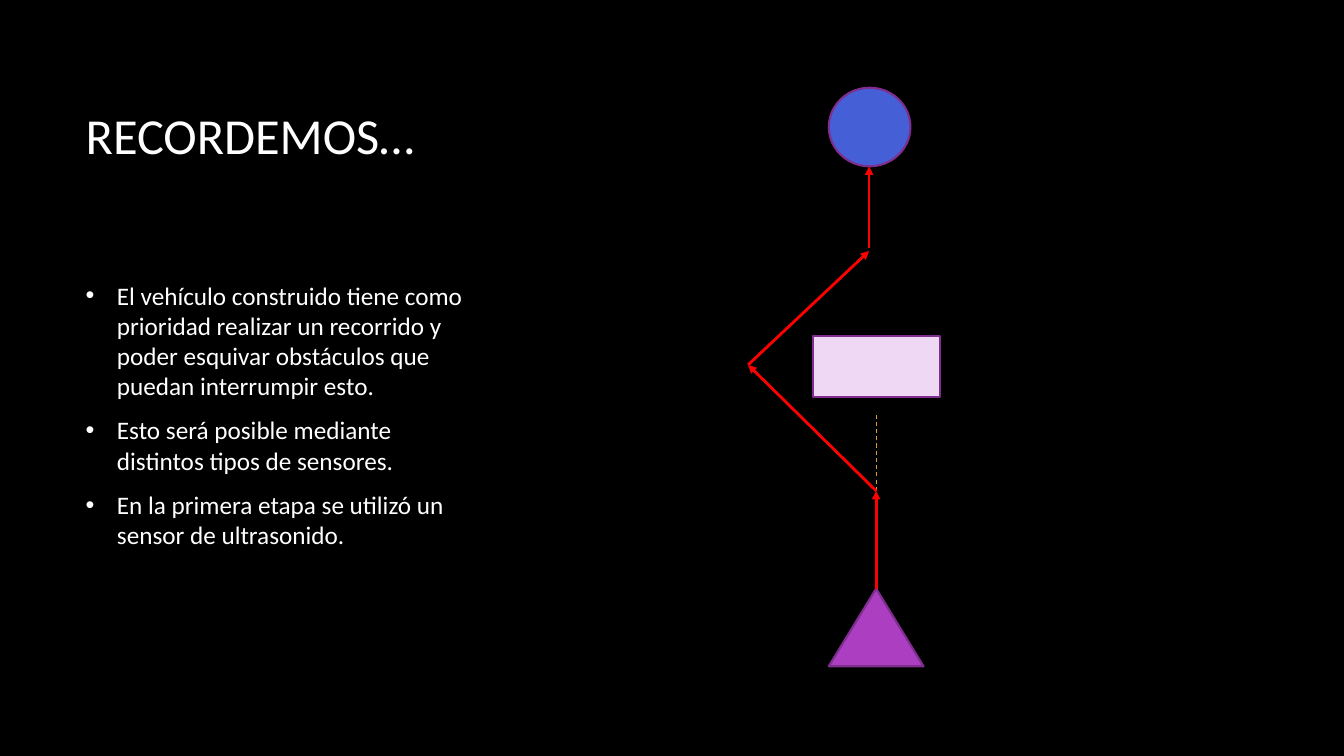
from dataclasses import dataclass

from lxml import etree
from pptx import Presentation
from pptx.dml.color import RGBColor
from pptx.enum.dml import MSO_LINE
from pptx.enum.shapes import MSO_CONNECTOR, MSO_SHAPE
from pptx.enum.text import MSO_ANCHOR, MSO_AUTO_SIZE, PP_ALIGN
from pptx.oxml.ns import qn
from pptx.util import Inches, Pt

OVAL, TRIANGLE, BOX = MSO_SHAPE.OVAL, MSO_SHAPE.ISOSCELES_TRIANGLE, MSO_SHAPE.RECTANGLE
DASH = MSO_LINE.DASH

TITLE = "RECORDEMOS…"
POINTS = [
    "El vehículo construido tiene como prioridad realizar un recorrido y poder "
    "esquivar obstáculos que puedan interrumpir esto.",
    "Esto será posible mediante distintos tipos de sensores.",
    "En la primera etapa se utilizó un sensor de ultrasonido.",
]


@dataclass(frozen=True)
class Theme:
    font: str = "Calibri"
    title_size: float = 36
    body_size: float = 18
    background: str = "000000"
    text: str = "FFFFFF"
    outline: str = "7F2E8F"
    goal: str = "455FD6"
    vehicle: str = "AC3EC1"
    obstacle: str = "EED8F3"
    route: str = "FF0000"
    blocked: str = "DD9D31"


THEME = Theme()

# preset, fill, (left, top, width, height)
FIGURES = [
    (OVAL, THEME.goal, (8.22, 0.87, 0.81, 0.78)),
    (TRIANGLE, THEME.vehicle, (8.22, 5.84, 0.94, 0.77)),
    (BOX, THEME.obstacle, (8.06, 3.33, 1.26, 0.61)),
]
START, TURN, SIDE = (8.69, 5.84), (8.69, 4.87), (7.42, 3.62)
BLOCKED_END = (8.69, 4.1)
REJOIN, LAST_LEG, GOAL = (8.62, 2.49), (8.62, 2.46), (8.62, 1.65)
ROUTE = [(START, TURN), (TURN, SIDE), (SIDE, REJOIN), (LAST_LEG, GOAL)]


def rgb(value):
    return RGBColor.from_string(value)


def place(shape, left, top, width, height):
    shape.left, shape.top = Inches(left), Inches(top)
    shape.width, shape.height = Inches(width), Inches(height)


def write(shape, paragraphs, *, size, color=THEME.text, after=0, bullet=False):
    tf = shape.text_frame
    tf.word_wrap = True
    tf.auto_size = MSO_AUTO_SIZE.NONE
    tf.vertical_anchor = MSO_ANCHOR.MIDDLE
    for i, text in enumerate(paragraphs):
        p = tf.add_paragraph() if i else tf.paragraphs[0]
        p.alignment = PP_ALIGN.LEFT
        p.space_before, p.space_after = Pt(0), Pt(after)
        r = p.add_run()
        r.text = text
        r.font.name, r.font.size = THEME.font, Pt(size)
        r.font.color.rgb = rgb(color)
        if bullet:
            add_bullet(p, color)


def add_bullet(p, color):
    pPr = p._p.get_or_add_pPr()
    indent = Inches(0.31)
    pPr.set("marL", str(indent))
    pPr.set("indent", str(-indent))
    etree.SubElement(etree.SubElement(pPr, qn("a:buClr")), qn("a:srgbClr"), val=color)
    etree.SubElement(pPr, qn("a:buFont"), typeface="Arial")
    etree.SubElement(pPr, qn("a:buChar"), char="•")


def add_figure(s, preset, fill, box):
    sp = s.shapes.add_shape(preset, *map(Inches, box))
    sp.shadow.inherit = False
    sp.fill.solid()
    sp.fill.fore_color.rgb = rgb(fill)
    sp.line.color.rgb = rgb(THEME.outline)
    sp.line.width = Pt(1.5)


def add_line(s, start, end, *, color, width, dash=None, arrow=False):
    line = s.shapes.add_connector(MSO_CONNECTOR.STRAIGHT, *map(Inches, start + end))
    line.line.color.rgb = rgb(color)
    line.line.width = Pt(width)
    if dash:
        line.line.dash_style = dash
    if arrow:
        etree.SubElement(line.line._get_or_add_ln(), qn("a:tailEnd"), type="triangle")
    etree.SubElement(line._element.spPr, qn("a:effectLst"))


def main():
    prs = Presentation()
    prs.slide_width, prs.slide_height = Inches(13.33), Inches(7.5)
    s = prs.slides.add_slide(prs.slide_layouts[1])
    s.background.fill.solid()
    s.background.fill.fore_color.rgb = rgb(THEME.background)

    title, body = s.placeholders
    place(title, 0.75, 0.54, 11.08, 1.59)
    write(title, [TITLE], size=THEME.title_size)
    place(body, 0.75, 2.34, 4.09, 3.99)
    body.text_frame.margin_bottom = Inches(0.49)
    write(body, POINTS, size=THEME.body_size, after=10, bullet=True)

    for figure in FIGURES:
        add_figure(s, *figure)
    add_line(s, TURN, BLOCKED_END, color=THEME.blocked, width=0.75, dash=DASH)
    for start, end in ROUTE:
        add_line(s, start, end, color=THEME.route, width=2, arrow=True)
    prs.save("out.pptx")


if __name__ == "__main__":
    main()
